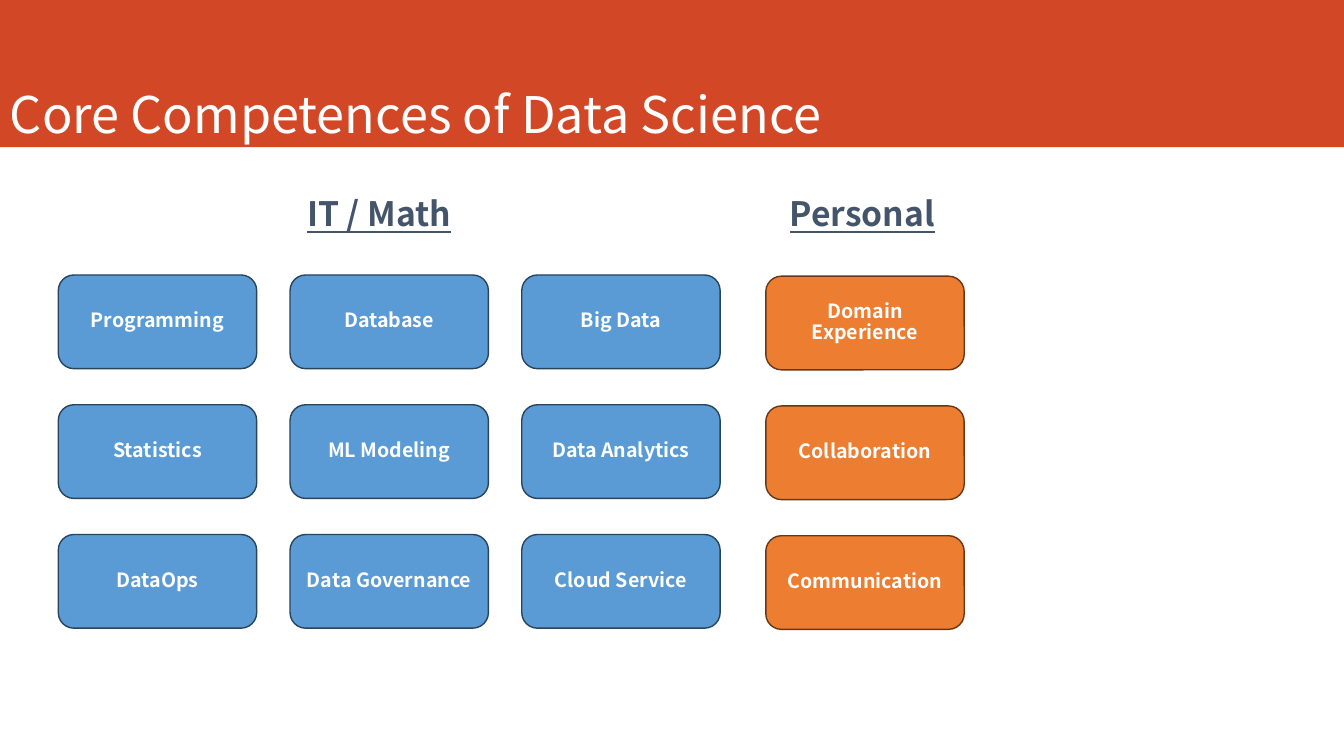
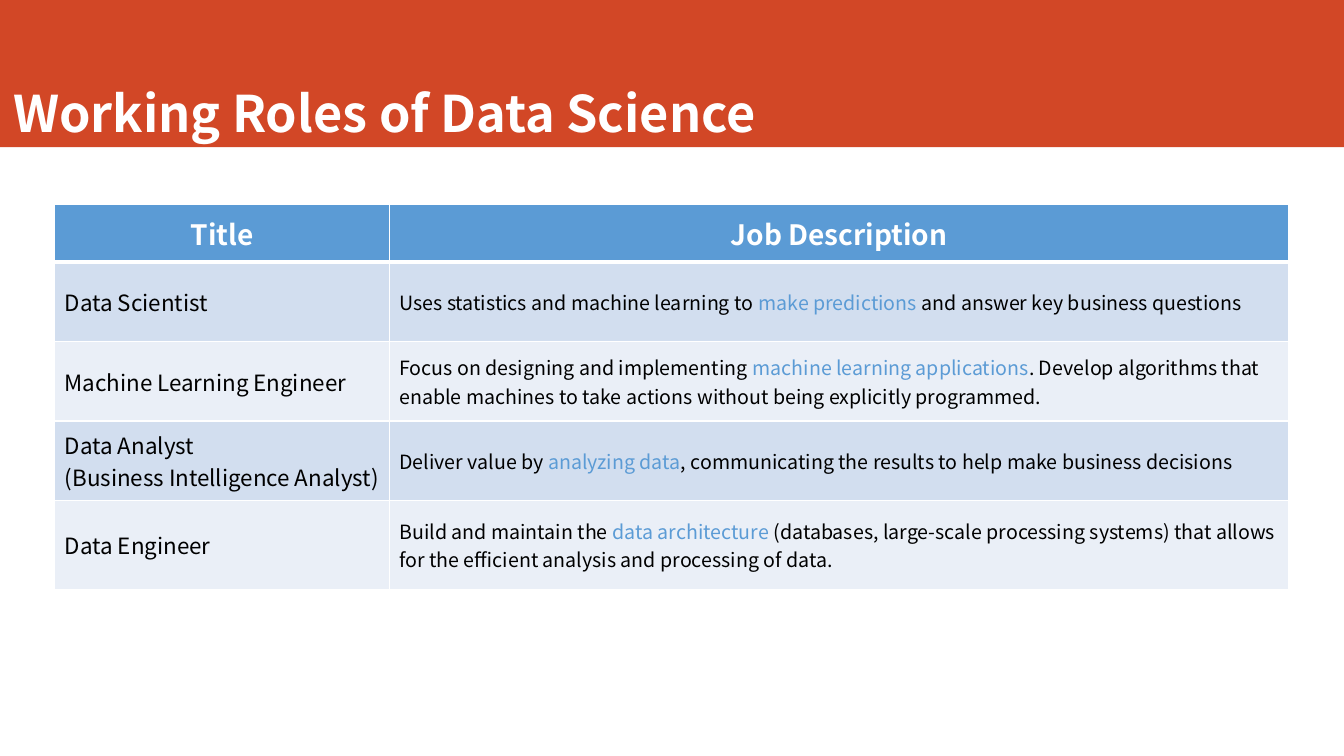
from lxml import etree
from pptx import Presentation, util as u
from pptx.dml.color import RGBColor
from pptx.enum import shapes, text
from pptx.oxml.ns import qn

FONT = "Noto Sans CJK TC"
WHITE, BLACK, SLATE, RED = "FFFFFF", "000000", "44546A", "D24726"
BLUE, ORANGE = "5B9BD5", "ED7D31"
OUTLINE = {BLUE: "28445D", ORANGE: "683715"}
STRIPES = ("D2DEEF", "EAEFF7")
LEFT, CENTER = text.PP_ALIGN.LEFT, text.PP_ALIGN.CENTER
TOP, MIDDLE, BOTTOM = (text.MSO_ANCHOR.TOP, text.MSO_ANCHOR.MIDDLE,
                       text.MSO_ANCHOR.BOTTOM)
WIDTH, HEIGHT = 33.87, 19.05
TITLE_STYLE = {"size": u.Pt(36)}
HEADING_STYLE = {"size": u.Pt(24), "bold": True, "underline": True}
BOX_STYLE = {"size": u.Pt(14), "bold": True}
HEADER_STYLE = {"size": u.Pt(20), "bold": True}
ROLE_STYLE = {"size": u.Pt(16), "bold": False}
JOB_STYLE = {"size": u.Pt(14), "bold": False}

SKILL_X, SKILL_Y, STEP_X, STEP_Y = 1.47, 6.93, 5.84, 3.27
BOX_W, BOX_H = 5, 2.36
PERSONAL_X, PERSONAL_Y = 19.3, 6.96
IT_MATH = [
    ["Programming", "Database", "Big Data"],
    ["Statistics", "ML Modeling", "Data Analytics"],
    ["DataOps", "Data Governance", "Cloud Service"],
]
PERSONAL = [["Domain Experience"], ["Collaboration"], ["Communication"]]

HEADERS = ["Title", "Job Description"]
# Role lines, then the job description split around its key phrase
ROLES = [
    (["Data Scientist"],
     ("Uses statistics and machine learning to ", "make predictions ",
      "and answer key business questions")),
    (["Machine Learning Engineer"],
     ("Focus on designing and implementing ", "machine learning applications",
      ". Develop algorithms that enable machines to take actions "
      "without being explicitly programmed.")),
    (["Data Analyst", "(Business Intelligence Analyst)"],
     ("Deliver value by ", "analyzing data",
      ", communicating the results to help make business decisions")),
    (["Data Engineer"],
     ("Build and maintain the ", "data architecture ",
      "(databases, large-scale processing systems) that allows for the "
      "efficient analysis and processing of data.")),
]
COL_WIDTHS = [8.43, 22.67]
ROW_HEIGHTS = [1.47, 2, 2, 2, 2.24]


def rgb(value):
    return RGBColor.from_string(value)


def cm(*lengths):
    return [u.Cm(n) for n in lengths]


def write(tf, paragraphs, style, align=LEFT, spacing=None):
    """Fill a text frame; each paragraph is a list of (text, colour) runs."""
    tf.word_wrap = True
    for i, runs in enumerate(paragraphs):
        p = tf.add_paragraph() if i else tf.paragraphs[0]
        p.alignment = align
        if spacing:
            p.line_spacing = spacing
        for content, color in runs:
            r = p.add_run()
            r.text = content
            for name, value in {"name": FONT, **style}.items():
                setattr(r.font, name, value)
            r.font.color.rgb = rgb(color)


def set_borders(cell, **widths):
    """Draw white cell borders with the given widths in points."""
    tc_pr = cell._tc.get_or_add_tcPr()
    for i, (side, width) in enumerate(widths.items()):
        ln = etree.Element(qn(f"a:ln{side}"), w=str(u.Pt(width)))
        fill = etree.SubElement(ln, qn("a:solidFill"))
        etree.SubElement(fill, qn("a:srgbClr"), val=WHITE)
        tc_pr.insert(i, ln)


class Deck:
    def __init__(self):
        self.prs = Presentation()
        self.prs.slide_width, self.prs.slide_height = cm(WIDTH, HEIGHT)
        self.s = None

    def slide(self, title, x, y, bold=False):
        """Start a slide with the red band and its title."""
        self.s = self.prs.slides.add_slide(self.prs.slide_layouts[6])
        self.shape(shapes.MSO_SHAPE.RECTANGLE, (0, 0, WIDTH, 3.71), RED)
        tf = self.text((x, y, 29.87, 3.35), title, WHITE,
                       {**TITLE_STYLE, "bold": bold}, anchor=BOTTOM)
        tf.margin_bottom = 0

    def shape(self, kind, at, fill, line=None):
        sp = self.s.shapes.add_shape(kind, *cm(*at))
        sp.shadow.inherit = False
        sp.fill.solid()
        sp.fill.fore_color.rgb = rgb(fill)
        if line:
            sp.line.color.rgb = rgb(line)
            sp.line.width = u.Pt(1)
        else:
            sp.line.fill.background()
        return sp

    def text(self, at, content, color, style, align=LEFT, anchor=TOP,
             spacing=None):
        tf = self.s.shapes.add_textbox(*cm(*at)).text_frame
        tf.vertical_anchor = anchor
        write(tf, [[(content, color)]], style, align, spacing)
        return tf

    def heading(self, x, width, content):
        self.text((x, 4.88, width, 1.27), content, SLATE, HEADING_STYLE,
                  CENTER, spacing=0.87)

    def box_grid(self, x, y, rows, fill):
        for i, row in enumerate(rows):
            for j, label in enumerate(row):
                at = (x + j * STEP_X, y + i * STEP_Y, BOX_W, BOX_H)
                sp = self.shape(shapes.MSO_SHAPE.ROUNDED_RECTANGLE, at, fill,
                                OUTLINE[fill])
                sp.text_frame.vertical_anchor = MIDDLE
                write(sp.text_frame, [[(label, WHITE)]], BOX_STYLE, CENTER,
                      0.87)

    def cell(self, cell, paragraphs, style, fill, align=LEFT, top=1, bottom=1):
        cell.fill.solid()
        cell.fill.fore_color.rgb = rgb(fill)
        cell.vertical_anchor = MIDDLE
        write(cell.text_frame, paragraphs, style, align)
        set_borders(cell, L=1, R=1, T=top, B=bottom)

    def role_table(self, x, y):
        table = self.s.shapes.add_table(
            len(ROW_HEIGHTS), len(COL_WIDTHS),
            *cm(x, y, sum(COL_WIDTHS), sum(ROW_HEIGHTS))).table
        for column, width in zip(table.columns, COL_WIDTHS):
            column.width = u.Cm(width)
        for row, height in zip(table.rows, ROW_HEIGHTS):
            row.height = u.Cm(height)
        for j, header in enumerate(HEADERS):
            self.cell(table.cell(0, j), [[(header, WHITE)]], HEADER_STYLE,
                      BLUE, CENTER, bottom=3)
        for i, (role, job) in enumerate(ROLES, 1):
            fill, top = STRIPES[(i - 1) % 2], 3 if i == 1 else 1
            self.cell(table.cell(i, 0), [[(line, BLACK)] for line in role],
                      ROLE_STYLE, fill, top=top)
            self.cell(table.cell(i, 1), [list(zip(job, (BLACK, BLUE, BLACK)))],
                      JOB_STYLE, fill, top=top)


def main():
    deck = Deck()

    deck.slide("Core Competences of Data Science", 0, 0.28)
    deck.box_grid(SKILL_X, SKILL_Y, IT_MATH, BLUE)
    deck.box_grid(PERSONAL_X, PERSONAL_Y, PERSONAL, ORANGE)
    deck.heading(19.23, 5, "Personal")
    deck.heading(6.48, 6.15, "IT / Math")

    deck.slide("Working Roles of Data Science", 0.08, 0.25, bold=True)
    deck.role_table(1.38, 5.14)

    deck.prs.save("out.pptx")


if __name__ == "__main__":
    main()
